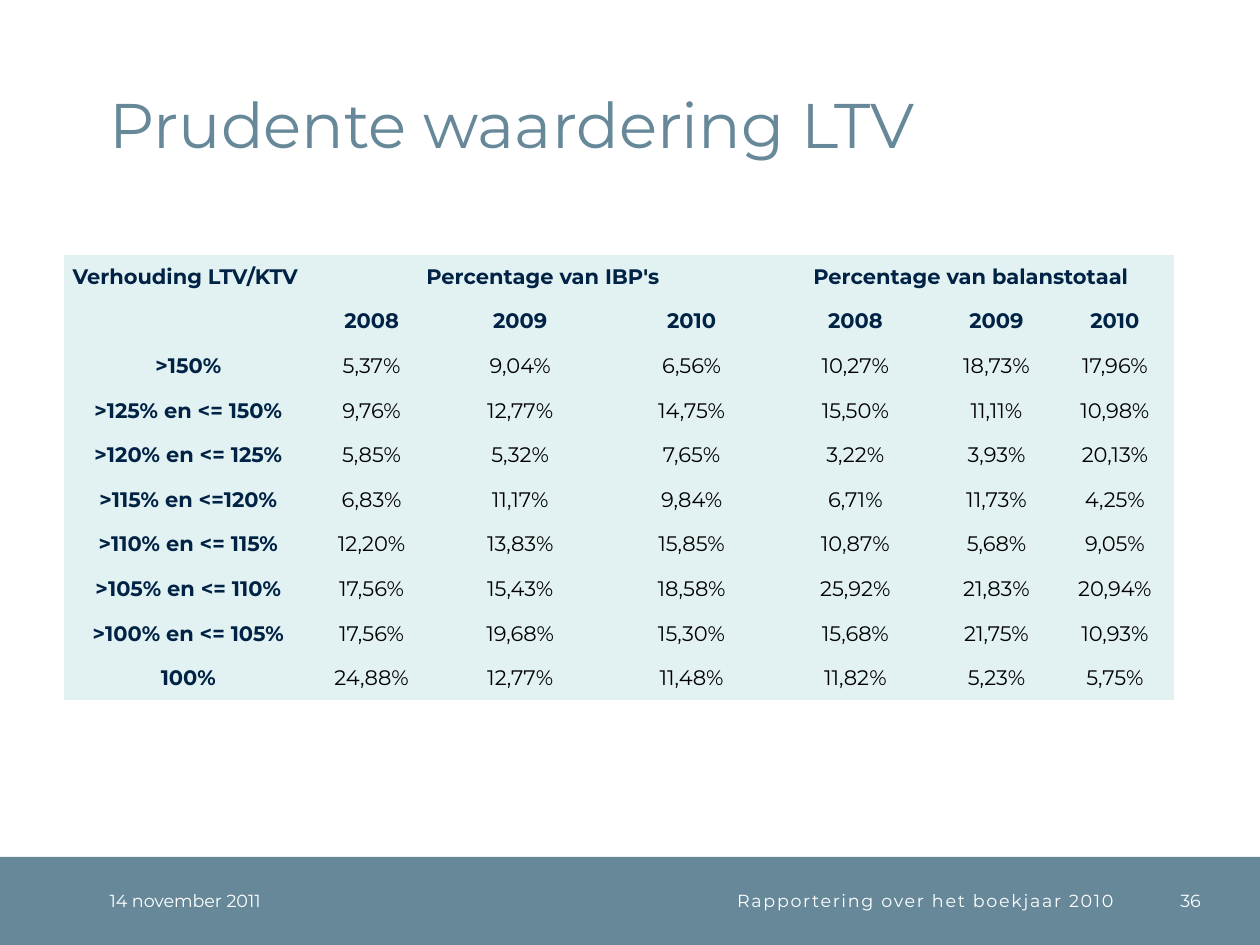
"""Build the slide with the LTV valuation table."""
import pptx
import pptx.dml.color
import pptx.enum.shapes
import pptx.enum.text
import pptx.oxml.ns
import pptx.util

Inches = pptx.util.Inches
ALIGN = pptx.enum.text.PP_ALIGN
ANCHOR = pptx.enum.text.MSO_ANCHOR

TITLE = "Prudente waardering LTV"
GROUPS = ["Percentage van IBP's", "Percentage van balanstotaal "]
YEARS = ["2008", "2009", "2010"]
RATIOS = [
    (">150%", "5,37%", "9,04%", "6,56%", "10,27%", "18,73%", "17,96%"),
    (">125% en <= 150%", "9,76%", "12,77%", "14,75%", "15,50%", "11,11%", "10,98%"),
    (">120% en <= 125%", "5,85%", "5,32%", "7,65%", "3,22%", "3,93%", "20,13%"),
    (">115% en <=120%", "6,83%", "11,17%", "9,84%", "6,71%", "11,73%", "4,25%"),
    (">110% en <= 115%", "12,20%", "13,83%", "15,85%", "10,87%", "5,68%", "9,05%"),
    (">105% en <= 110%", "17,56%", "15,43%", "18,58%", "25,92%", "21,83%", "20,94%"),
    (">100% en <= 105%", "17,56%", "19,68%", "15,30%", "15,68%", "21,75%", "10,93%"),
    ("100%", "24,88%", "12,77%", "11,48%", "11,82%", "5,23%", "5,75%"),
]
HEADER = ["Verhouding LTV/KTV ", GROUPS[0], "", "", GROUPS[1], "", ""]
ROWS = [HEADER, ["", *YEARS, *YEARS], *RATIOS]
COLUMN_WIDTHS = [1.97, 0.94, 1.42, 1.3, 1.3, 0.94, 0.94]
TABLE_LEFT, TABLE_TOP, TABLE_HEIGHT = 0.51, 2.02, 3.54
FOOTER_TOP, FOOTER_HEIGHT = 6.8, 0.7
FOOTER = [
    ("14 november 2011", 0.87, 1.77, ALIGN.LEFT, 0),
    ("Rapportering over het boekjaar 2010", 2.64, 6.2, ALIGN.RIGHT, 1),
    ("36", 9.04, 0.49, ALIGN.RIGHT, 0),
]
THEME = {
    "font": "Montserrat",
    "slate": "668899",
    "navy": "002244",
    "black": "000000",
    "white": "FFFFFF",
    "mint": "E2F1F2",
    "title": 36,
    "table": 12,
    "footer": 10,
}
NO_STYLE = "{2D5ABB26-0587-4C30-8999-92F81FD0307C}"
NO_MARGINS = {f"margin_{side}": 0 for side in ("left", "top", "right", "bottom")}


def color(name):
    return pptx.dml.color.RGBColor.from_string(THEME[name])


def apply(target, values):
    for name, value in values.items():
        setattr(target, name, value)


def place(shape, left, top, width, height):
    box = {"left": left, "top": top, "width": width, "height": height}
    apply(shape, {name: Inches(value) for name, value in box.items()})


def fill(target, name):
    target.fill.solid()
    target.fill.fore_color.rgb = color(name)


def write(frame, text, size, ink, alignment, bold=False):
    paragraph = frame.paragraphs[0]
    paragraph.alignment = alignment
    run = paragraph.add_run()
    run.text = text
    font = {"name": THEME["font"], "size": pptx.util.Pt(THEME[size]), "bold": bold}
    apply(run.font, font)
    run.font.color.rgb = color(ink)
    return run


def format_frame(frame, anchor):
    frame_format = {
        "word_wrap": True,
        "auto_size": pptx.enum.text.MSO_AUTO_SIZE.NONE,
        "vertical_anchor": anchor,
    }
    apply(frame, {**NO_MARGINS, **frame_format})


def add_footer(slide):
    rectangle = pptx.enum.shapes.MSO_SHAPE.RECTANGLE
    band = slide.shapes.add_shape(
        rectangle, 0, Inches(FOOTER_TOP), Inches(10), Inches(FOOTER_HEIGHT)
    )
    band.shadow.inherit = False
    band.line.fill.background()
    fill(band, "slate")
    for text, left, width, alignment, spacing in FOOTER:
        box = slide.shapes.add_textbox(0, 0, 0, 0)
        place(box, left, FOOTER_TOP, width, FOOTER_HEIGHT)
        format_frame(box.text_frame, ANCHOR.MIDDLE)
        run = write(box.text_frame, text, "footer", "white", alignment)
        if spacing:
            run.font._element.set("spc", str(spacing * 100))


def add_title(slide):
    title = slide.shapes.title
    place(title, 0.87, 0.2, 8.63, 1.08)
    format_frame(title.text_frame, ANCHOR.BOTTOM)
    write(title.text_frame, TITLE, "title", "slate", ALIGN.LEFT)
    title.text_frame.paragraphs[0].line_spacing = pptx.util.Pt(32)


def add_ratio_table(slide):
    frame = slide.shapes.add_table(
        len(ROWS), len(COLUMN_WIDTHS), Inches(TABLE_LEFT), Inches(TABLE_TOP),
        Inches(sum(COLUMN_WIDTHS)), Inches(TABLE_HEIGHT),
    )
    table = frame.table
    apply(table, {"first_row": False, "horz_banding": False})
    style = table._tbl.tblPr.find(pptx.oxml.ns.qn("a:tableStyleId"))
    style.text = NO_STYLE
    for column, width in zip(table.columns, COLUMN_WIDTHS):
        column.width = Inches(width)
    for first in (1, 4):
        table.cell(0, first).merge(table.cell(0, first + 2))
    for row, texts in enumerate(ROWS):
        for column, text in enumerate(texts):
            cell = table.cell(row, column)
            apply(cell, {**NO_MARGINS, "vertical_anchor": ANCHOR.MIDDLE})
            fill(cell, "mint")
            heading = row < 2 or column == 0
            ink = "navy" if heading else "black"
            if text:
                write(cell.text_frame, text, "table", ink, ALIGN.CENTER, heading)


def main():
    presentation = pptx.Presentation()
    size = {"slide_width": Inches(10), "slide_height": Inches(7.5)}
    apply(presentation, size)
    slide = presentation.slides.add_slide(presentation.slide_layouts[5])
    add_footer(slide)
    add_title(slide)
    add_ratio_table(slide)
    presentation.save("out.pptx")


if __name__ == "__main__":
    main()
